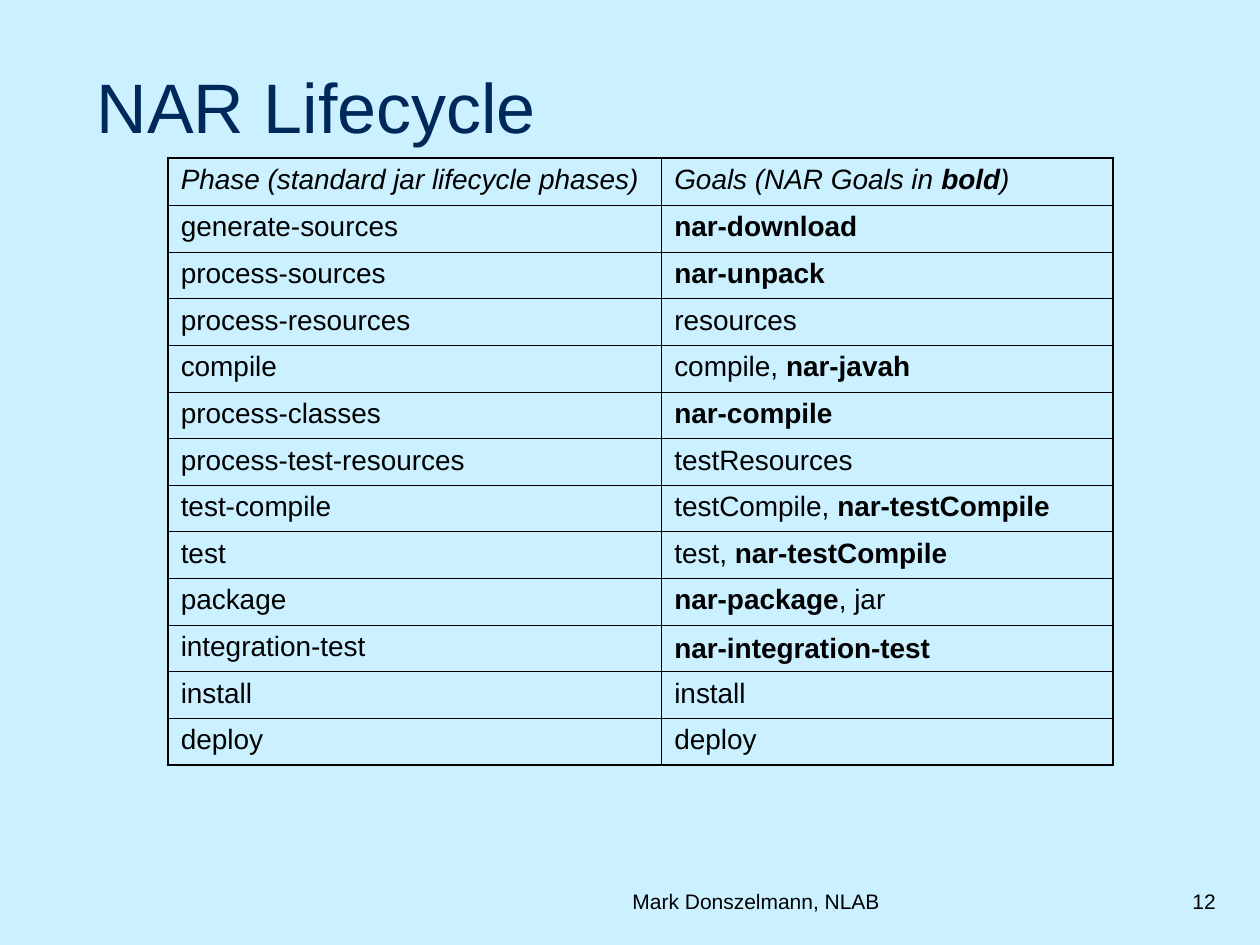
from lxml.etree import SubElement
from pptx import Presentation
from pptx.dml.color import RGBColor
from pptx.enum.text import MSO_ANCHOR as Anchor, PP_ALIGN as Align
from pptx.oxml.ns import qn
from pptx.util import Cm, Pt

BACKGROUND = RGBColor(0xCB, 0xF0, 0xFF)
NAVY = RGBColor(0x00, 0x29, 0x5B)
BLACK = RGBColor(0, 0, 0)

FONT = "Arial"
THIN, THICK = Pt(0.45), Pt(1.08)
COLUMN_WIDTHS = (9.95, 9.1)
HEADER_HEIGHT, ROW_HEIGHT = 0.96, 0.94

# Phase and goals; asterisks enclose bold text
ROWS = [
    ("Phase (standard jar lifecycle phases)", "Goals (NAR Goals in *bold*)"),
    ("generate-sources", "*nar-download*"),
    ("process-sources", "*nar-unpack*"),
    ("process-resources", "resources"),
    ("compile", "compile, *nar-javah*"),
    ("process-classes", "*nar-compile*"),
    ("process-test-resources", "testResources"),
    ("test-compile", "testCompile, *nar-testCompile*"),
    ("test", "test, *nar-testCompile*"),
    ("package", "*nar-package*, jar"),
    ("integration-test", "*nar-integration-test*"),
    ("install", "install"),
    ("deploy", "deploy"),
]
MIDDLE_ANCHORED = "*nar-integration-test*"


def add_runs(paragraph, text, size, color=BLACK, italic=False):
    """Write text, with the parts between asterisks in bold."""
    for index, part in enumerate(text.split("*")):
        if not part:
            continue
        run = paragraph.add_run()
        run.text = part
        run.font.color.rgb = color
        font_format = {"name": FONT, "size": Pt(size),
                       "bold": index % 2 == 1, "italic": italic}
        for name, value in font_format.items():
            setattr(run.font, name, value)


def add_text(slide, text, box, size, color=BLACK, align=Align.LEFT, anchor=Anchor.TOP):
    frame = slide.shapes.add_textbox(*map(Cm, box)).text_frame
    frame.word_wrap = True
    frame.vertical_anchor = anchor
    frame.paragraphs[0].alignment = align
    add_runs(frame.paragraphs[0], text, size, color)


def set_borders(cell, widths):
    properties = cell._tc.get_or_add_tcPr()
    for side, width in widths.items():
        line = SubElement(properties, qn(f"a:ln{side}"), w=str(width))
        fill = SubElement(line, qn("a:solidFill"))
        SubElement(fill, qn("a:srgbClr"), val=str(BLACK))


def add_lifecycle_table(slide, left, top):
    row_count, column_count = len(ROWS), len(COLUMN_WIDTHS)
    height = HEADER_HEIGHT + ROW_HEIGHT * (row_count - 1)
    table = slide.shapes.add_table(row_count, column_count, Cm(left), Cm(top),
                                   Cm(sum(COLUMN_WIDTHS)), Cm(height)).table
    table.first_row = table.horz_banding = False
    for column, width in zip(table.columns, COLUMN_WIDTHS):
        column.width = Cm(width)

    for r, texts in enumerate(ROWS):
        table.rows[r].height = Cm(ROW_HEIGHT if r else HEADER_HEIGHT)
        for c, text in enumerate(texts):
            cell = table.cell(r, c)
            # Thick frame around thin inner lines
            outer = {"L": c == 0, "R": c == column_count - 1,
                     "T": r == 0, "B": r == row_count - 1}
            set_borders(cell, {side: THICK if edge else THIN
                               for side, edge in outer.items()})
            cell.fill.background()
            if text == MIDDLE_ANCHORED:
                cell.vertical_anchor = Anchor.MIDDLE
            add_runs(cell.text_frame.paragraphs[0], text, 16, italic=r == 0)


def main():
    presentation = Presentation()
    presentation.slide_width, presentation.slide_height = Cm(25.4), Cm(19.05)
    slide = presentation.slides.add_slide(presentation.slide_layouts[6])
    slide.background.fill.solid()
    slide.background.fill.fore_color.rgb = BACKGROUND

    # Title and table
    add_text(slide, "NAR Lifecycle", (1.7, 0.85, 23.06, 2.54), 40, NAVY,
             anchor=Anchor.MIDDLE)
    add_lifecycle_table(slide, 3.39, 3.18)

    # Footer
    add_text(slide, "Mark Donszelmann, NLAB", (11.22, 17.78, 8.05, 0.85), 12,
             align=Align.CENTER)
    add_text(slide, "12", (19.47, 17.78, 5.29, 0.85), 12, align=Align.RIGHT)

    presentation.save("out.pptx")


if __name__ == "__main__":
    main()
